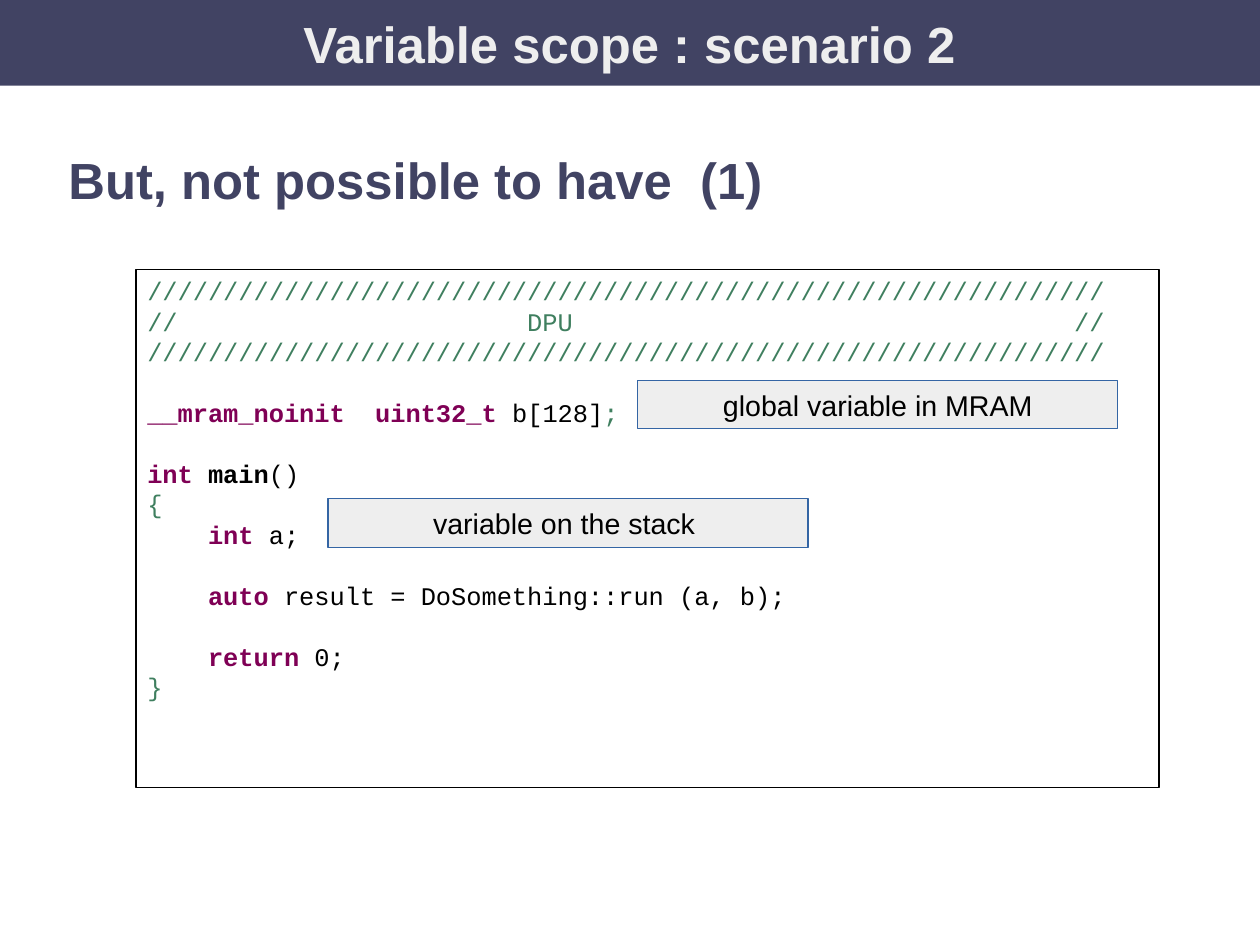
from pptx import Presentation
from pptx.dml.color import RGBColor
from pptx.enum.shapes import MSO_SHAPE
from pptx.enum.text import MSO_ANCHOR, PP_ALIGN
from pptx.util import Cm, Inches, Pt

# Content
TITLE = "Variable scope : scenario 2"
HEADING = "But, not possible to have  (1)"
RULE = "/" * 63
# Each block is a list of lines; each line is a list of (text, style)
CODE = [
    [
        [(RULE, "comment")],
        [(f"//{'DPU':>26}{'//':>35}", "comment")],
        [(RULE, "comment")],
    ],
    [[("__mram_noinit  uint32_t ", "keyword"), ("b[128]", "plain"), (";", "comment")]],
    [
        [("int ", "keyword"), ("main", "name"), ("()", "plain")],
        [("{", "comment")],
        [("    ", "plain"), ("int", "keyword"), (" a;", "plain")],
    ],
    [[("    ", "plain"), ("auto", "keyword"),
      (" result = DoSomething::run (a, b);", "plain")]],
    [
        [("    ", "plain"), ("return", "keyword"), (" 0;", "plain")],
        [("}", "comment")],
    ],
]
NOTES = [  # text, left, top, height
    ("variable on the stack ", 2.87, 4.36, 0.43),
    ("global variable in MRAM", 5.58, 3.33, 0.42),
]
COLORS = {
    "navy": "414363", "light": "EEEEEE", "border": "3465A4", "black": "000000",
    "comment": "3F7F5F", "keyword": "7F0055", "plain": "000000", "name": "000000",
}
BOLD = {"keyword", "name"}
LINE = Pt(19.2)


def rgb(name):
    return RGBColor.from_string(COLORS[name])


def set_font(font, name, size, color, bold=False):
    font.name, font.size, font.bold = name, Pt(size), bold
    font.color.rgb = rgb(color)


def write(sp, text, size, color, bold=False, align=PP_ALIGN.CENTER):
    tf = sp.text_frame
    tf.word_wrap = True
    tf.vertical_anchor = MSO_ANCHOR.MIDDLE
    tf.text = text
    p = tf.paragraphs[0]
    p.alignment = align
    set_font(p.font, "Arial", size, color, bold)


def add_box(s, x, y, w, h, line, fill=None):
    sp = s.shapes.add_shape(MSO_SHAPE.RECTANGLE, Inches(x), Inches(y), Inches(w), Inches(h))
    sp.shadow.inherit = False
    if fill:
        sp.fill.solid()
        sp.fill.fore_color.rgb = rgb(fill)
    else:
        sp.fill.background()
    sp.line.color.rgb = rgb(line)
    sp.line.width = Pt(0)
    return sp


prs = Presentation()
prs.slide_width, prs.slide_height = Cm(28), Cm(21)
s = prs.slides.add_slide(prs.slide_layouts[5])

# Title bar
title = s.shapes.title
title.left, title.top = 0, 0
title.width, title.height = prs.slide_width, Inches(0.75)
title.fill.solid()
title.fill.fore_color.rgb = rgb("navy")
write(title, TITLE, 32, "light", True)

# Heading
heading = s.shapes.add_textbox(Inches(0.5), Inches(1.25), Inches(10.25), Inches(0.6))
write(heading, HEADING, 32, "navy", True, PP_ALIGN.LEFT)
heading.text_frame.vertical_anchor = MSO_ANCHOR.TOP

# Code listing: one line of space before each new block
tf = add_box(s, 1.19, 2.36, 8.95, 4.53, "black").text_frame
tf.word_wrap = True
tf.vertical_anchor = MSO_ANCHOR.TOP
p = tf.paragraphs[0]
for b, block in enumerate(CODE):
    for i, line in enumerate(block):
        if b or i:
            p = tf.add_paragraph()
        p.alignment = PP_ALIGN.LEFT
        p.line_spacing = LINE
        if b and i == 0:
            p.space_before = LINE
        for text, style in line:
            r = p.add_run()
            r.text = text
            set_font(r.font, "Courier New", 16, style, style in BOLD)

# Notes beside the variables
for text, x, y, h in NOTES:
    write(add_box(s, x, y, 4.2, h, "border", "light"), text, 18, "black")

prs.save("out.pptx")
